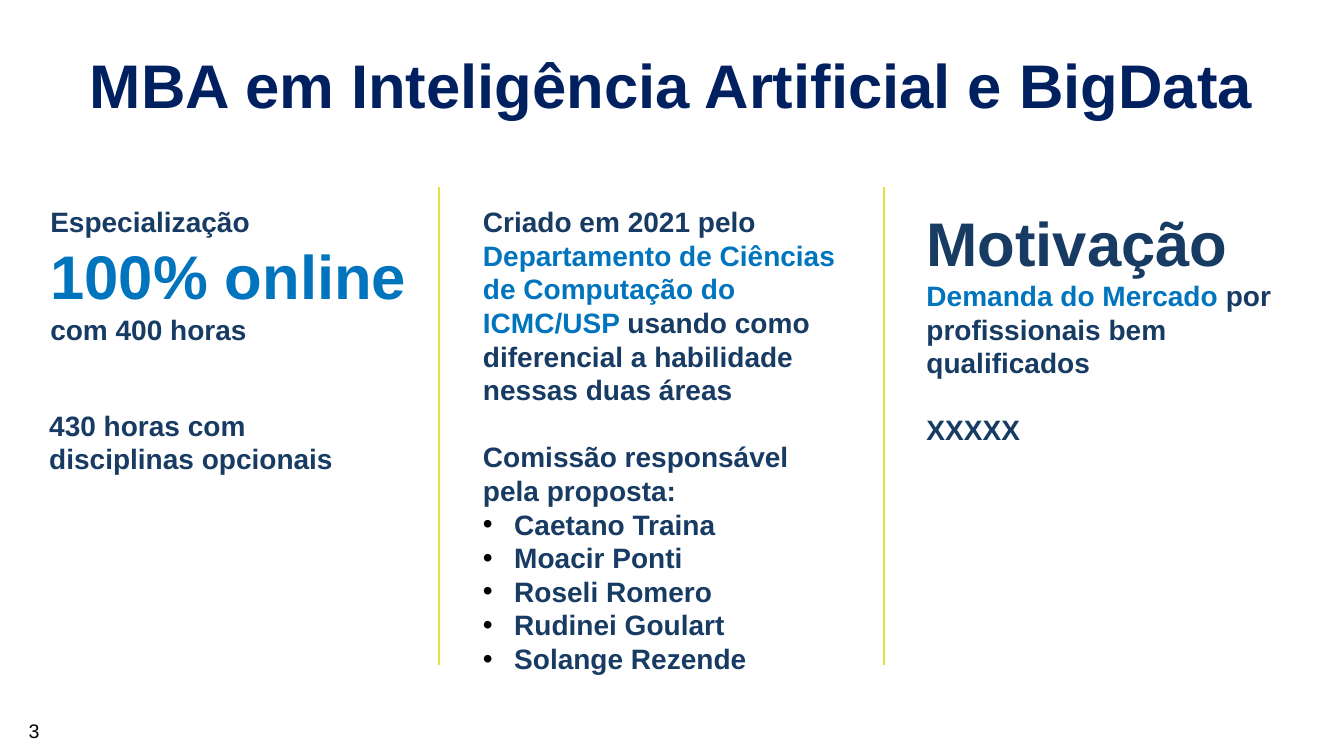
from lxml import etree
from pptx import Presentation
from pptx.dml.color import RGBColor
from pptx.enum.shapes import MSO_CONNECTOR
from pptx.enum.text import MSO_ANCHOR, MSO_AUTO_SIZE, PP_ALIGN
from pptx.oxml.ns import qn
from pptx.util import Inches, Pt

STRAIGHT = MSO_CONNECTOR.STRAIGHT
TOP, MIDDLE = MSO_ANCHOR.TOP, MSO_ANCHOR.MIDDLE
FIT_SHAPE = MSO_AUTO_SIZE.SHAPE_TO_FIT_TEXT
LEFT, CENTER, RIGHT = PP_ALIGN.LEFT, PP_ALIGN.CENTER, PP_ALIGN.RIGHT

BLACK = RGBColor(0x00, 0x00, 0x00)
TITLE_NAVY = RGBColor(0x00, 0x20, 0x60)
NAVY = RGBColor(0x17, 0x3B, 0x63)
BLUE = RGBColor(0x01, 0x74, 0xBE)
LIME = RGBColor(0xE5, 0xDF, 0x44)

BODY, LARGE = 20, 44
BLANK_LINE = 24
COLUMN_TOP = 1.98
HANGING = Inches(0.31)
COMMITTEE = ["Caetano Traina", "Moacir Ponti", "Roseli Romero", "Rudinei Goulart", "Solange Rezende"]


def place(shape, box):
    for side, length in zip(("left", "top", "width", "height"), box):
        setattr(shape, side, Inches(length))


def set_bullet(paragraph, bulleted):
    properties = paragraph._p.get_or_add_pPr()
    properties.set("marL", str(HANGING if bulleted else 0))
    properties.set("indent", str(-HANGING if bulleted else 0))
    if bulleted:
        color = etree.SubElement(properties, qn("a:buClr"))
        etree.SubElement(color, qn("a:srgbClr")).set("val", str(BLACK))
        etree.SubElement(properties, qn("a:buFont")).set("typeface", "Arial")
        etree.SubElement(properties, qn("a:buChar")).set("char", "•")
    else:
        etree.SubElement(properties, qn("a:buNone"))


def write(shape, box, paragraphs, align=LEFT, anchor=TOP, bold=True):
    place(shape, box)
    frame = shape.text_frame
    frame_format = {"word_wrap": True, "auto_size": FIT_SHAPE, "vertical_anchor": anchor}
    for name, value in frame_format.items():
        setattr(frame, name, value)
    for index, (runs, before, bulleted) in enumerate(paragraphs):
        paragraph = frame.add_paragraph() if index else frame.paragraphs[0]
        set_bullet(paragraph, bulleted)
        paragraph_format = {"alignment": align, "space_before": Pt(before), "space_after": Pt(0)}
        for name, value in paragraph_format.items():
            setattr(paragraph, name, value)
        for words, size, color in runs:
            run = paragraph.add_run()
            run.text = words
            run_format = {"name": "Arial", "size": Pt(size), "bold": bold}
            for name, value in run_format.items():
                setattr(run.font, name, value)
            run.font.color.rgb = color


def line(words, size=BODY, color=NAVY, before=0, bulleted=False):
    return [(words, size, color)], before, bulleted


def new_text(slide):
    return slide.shapes.add_textbox(0, 0, 0, 0)


def add_heading(slide, box):
    heading = [line("MBA em Inteligência Artificial e BigData", LARGE, TITLE_NAVY)]
    write(slide.shapes.title, box, heading, align=CENTER)


def add_course(slide, box):
    left, top, width, height = box
    write(new_text(slide), (left, top, width, 1.51), [
        line("Especialização"),
        line("100% online", LARGE, BLUE),
        line("com 400 horas"),
    ])
    write(new_text(slide), (left - 0.01, top + 2.02, 3.17, 0.77),
          [line("430 horas com disciplinas opcionais")])


def add_origin(slide, box):
    origin = [
        ("Criado em 2021 pelo ", BODY, NAVY),
        ("Departamento de Ciências de Computação do ICMC/USP ", BODY, BLUE),
        ("usando como diferencial a habilidade nessas duas áreas", BODY, NAVY),
    ]
    write(slide.placeholders[1], box, [
        (origin, 0, False),
        line("Comissão responsável pela proposta:", before=BLANK_LINE),
        *[line(member, bulleted=True) for member in COMMITTEE],
    ])


def add_motivation(slide, box):
    demand = [
        ("Demanda do Mercado ", BODY, BLUE),
        ("por profissionais bem qualificados", BODY, NAVY),
    ]
    write(new_text(slide), box, [
        line("Motivação", LARGE),
        (demand, 0, False),
        line("XXXXX", before=BLANK_LINE),
    ])


def add_divider(slide, x, top, bottom):
    divider = slide.shapes.add_connector(STRAIGHT, Inches(x), Inches(top), Inches(x), Inches(bottom))
    divider.line.color.rgb = LIME
    divider.line.width = Pt(1.5)
    etree.SubElement(divider._element.spPr, qn("a:effectLst"))


def add_page_number(slide, box):
    write(new_text(slide), box, [line("3", 14, BLACK)], align=RIGHT, anchor=MIDDLE, bold=False)


def main():
    presentation = Presentation()
    presentation.slide_width = Inches(13.33)
    presentation.slide_height = Inches(7.5)
    slide = presentation.slides.add_slide(presentation.slide_layouts[1])
    add_heading(slide, (0.24, 0.42, 12.85, 0.84))
    add_course(slide, (0.4, COLUMN_TOP, 4.21, 2.79))
    add_origin(slide, (4.69, COLUMN_TOP, 3.85, 4.81))
    add_motivation(slide, (9.09, COLUMN_TOP, 3.85, 2.52))
    for x in (4.35, 8.77):
        add_divider(slide, x, 1.86, 6.6)
    add_page_number(slide, (0, 7.04, 0.49, 0.42))
    presentation.save("out.pptx")


if __name__ == "__main__":
    main()
